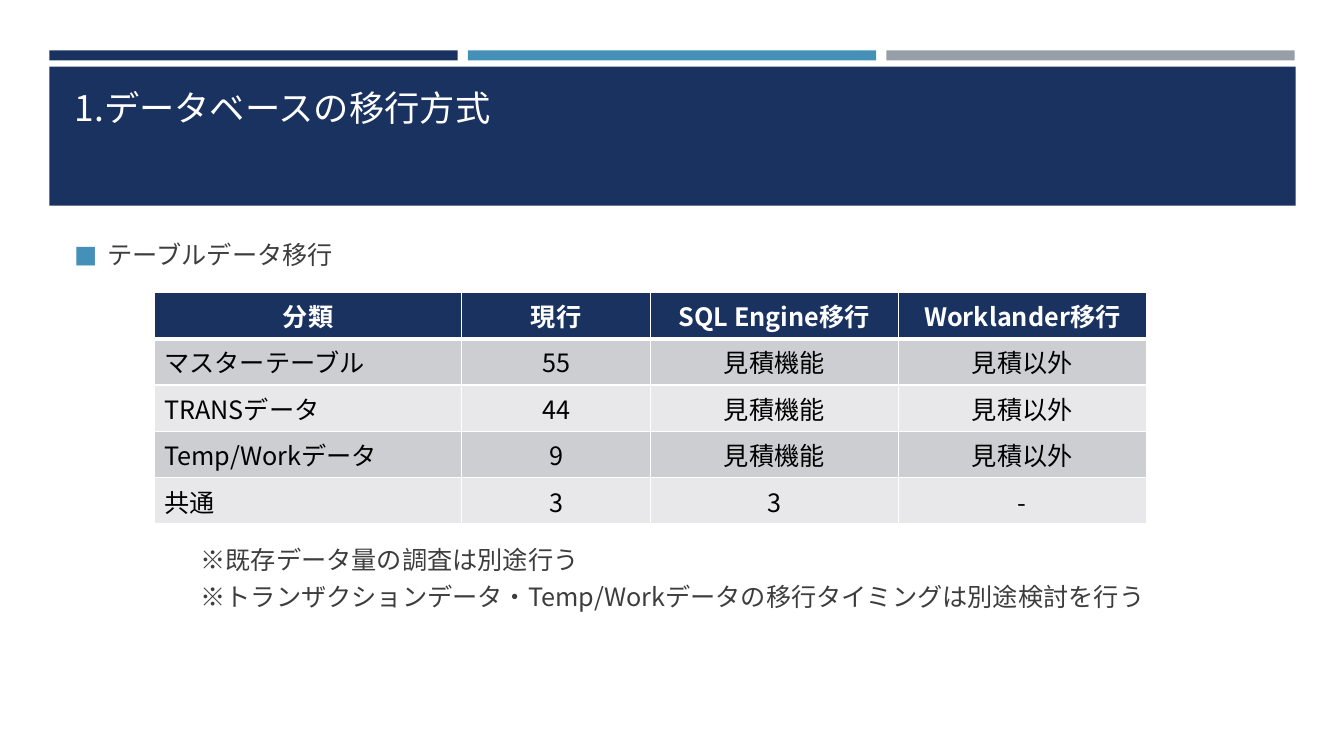
from lxml import etree
from pptx import Presentation
from pptx.dml.color import RGBColor
from pptx.enum import shapes, text
from pptx.oxml.ns import qn
from pptx.util import Inches, Pt

FONT = "Noto Sans CJK JP"
NAVY, BLUE, GRAY, WHITE, BLACK, BODY = "1A3260", "4590B8", "969FA7", "FFFFFF", "000000", "3D3D3D"
BANDS = ["E8E8EA", "CDCED2"]


def style(paragraph, size, color, bold=False, align=text.PP_ALIGN.LEFT):
    """Format a paragraph for both Latin and Japanese characters."""
    paragraph.alignment = align
    font = paragraph.font
    font.name, font.size, font.bold = FONT, Pt(size), bold
    font.color.rgb = RGBColor.from_string(color)
    defaults = paragraph._p.pPr.find(qn("a:defRPr"))
    latin = defaults.find(qn("a:latin"))
    east_asian = etree.Element(qn("a:ea"), typeface=FONT)
    latin.addnext(east_asian)


def add_lines(slide, left, top, width, height, lines):
    frame = slide.shapes.add_textbox(Inches(left), Inches(top), Inches(width), Inches(height)).text_frame
    frame.word_wrap = True
    frame.text = "\n".join(lines)
    for paragraph in frame.paragraphs:
        style(paragraph, 18, BODY)
        paragraph.space_after = Pt(5)
    return frame


prs = Presentation()
prs.slide_width, prs.slide_height = Inches(13.33), Inches(7.5)
slide = prs.slides.add_slide(prs.slide_layouts[5])

# Header band with three accent strips
bands = [(0.49 + 4.15 * i, 0.5, 4.05, 0.1, color) for i, color in enumerate([NAVY, BLUE, GRAY])]
bands.append((0.49, 0.66, 12.36, 1.38, NAVY))
for left, top, width, height, color in bands:
    band = slide.shapes.add_shape(
        shapes.MSO_SHAPE.RECTANGLE, Inches(left), Inches(top), Inches(width), Inches(height))
    band.shadow.inherit = False
    band.fill.solid()
    band.fill.fore_color.rgb = RGBColor.from_string(color)
    band.line.fill.background()

# Title, brought in front of the band
title = slide.shapes.title
title.left, title.top, title.width, title.height = Inches(0.64), Inches(0.8), Inches(12.06), Inches(0.53)
title_frame = title.text_frame
title_frame.text = "1.データベースの移行方式"
title_frame.auto_size = text.MSO_AUTO_SIZE.NONE
title_frame.vertical_anchor = text.MSO_ANCHOR.MIDDLE
title_frame.margin_top = title_frame.margin_bottom = 0
style(title_frame.paragraphs[0], 25.2, WHITE)
slide.shapes._spTree.append(title._element)

# Bulleted heading
heading = add_lines(slide, 0.64, 2.33, 12.06, 0.46, ["テーブルデータ移行"]).paragraphs[0]
properties = heading._p.pPr
properties.set("marL", str(Inches(0.33)))
properties.set("indent", str(-Inches(0.33)))
defaults = properties.find(qn("a:defRPr"))
bullet_color = etree.Element(qn("a:buClr"))
etree.SubElement(bullet_color, qn("a:srgbClr"), val=BLUE)
for part in (bullet_color,
             etree.Element(qn("a:buSzPct"), val="92000"),
             etree.Element(qn("a:buFont"), typeface=FONT),
             etree.Element(qn("a:buChar"), char="■")):
    defaults.addprevious(part)

# Migration table
rows = [
    ["分類", "現行", "SQL Engine移行", "Worklander移行"],
    ["マスターテーブル", "55", "見積機能", "見積以外"],
    ["TRANSデータ", "44", "見積機能", "見積以外"],
    ["Temp/Workデータ", "9", "見積機能", "見積以外"],
    ["共通", "3", "3", "-"],
]
column_widths = [3.05, 1.87, 2.46, 2.46]
row_height = 0.46
table = slide.shapes.add_table(
    len(rows), len(column_widths), Inches(1.53), Inches(2.9),
    Inches(sum(column_widths)), Inches(row_height * len(rows))).table
for column, width in zip(table.columns, column_widths):
    column.width = Inches(width)
for r, row in enumerate(rows):
    table.rows[r].height = Inches(row_height)
    for c, value in enumerate(row):
        cell = table.cell(r, c)
        cell.text = value
        header = r == 0
        align = text.PP_ALIGN.CENTER if header or c > 0 else text.PP_ALIGN.LEFT
        style(cell.text_frame.paragraphs[0], 18, WHITE if header else BLACK, header, align)
        for side in "LRTB":
            thick = (r, side) in [(0, "B"), (1, "T")]
            border = etree.SubElement(
                cell._tc.get_or_add_tcPr(), qn(f"a:ln{side}"), w=str(Pt(3 if thick else 1)))
            border_fill = etree.SubElement(border, qn("a:solidFill"))
            etree.SubElement(border_fill, qn("a:srgbClr"), val=WHITE)
        cell.fill.solid()
        cell.fill.fore_color.rgb = RGBColor.from_string(NAVY if header else BANDS[r % 2])

# Notes below the table
add_lines(slide, 1.89, 5.35, 10.8, 0.95, [
    "※既存データ量の調査は別途行う",
    "※トランザクションデータ・Temp/Workデータの移行タイミングは別途検討を行う",
])

prs.save("out.pptx")
